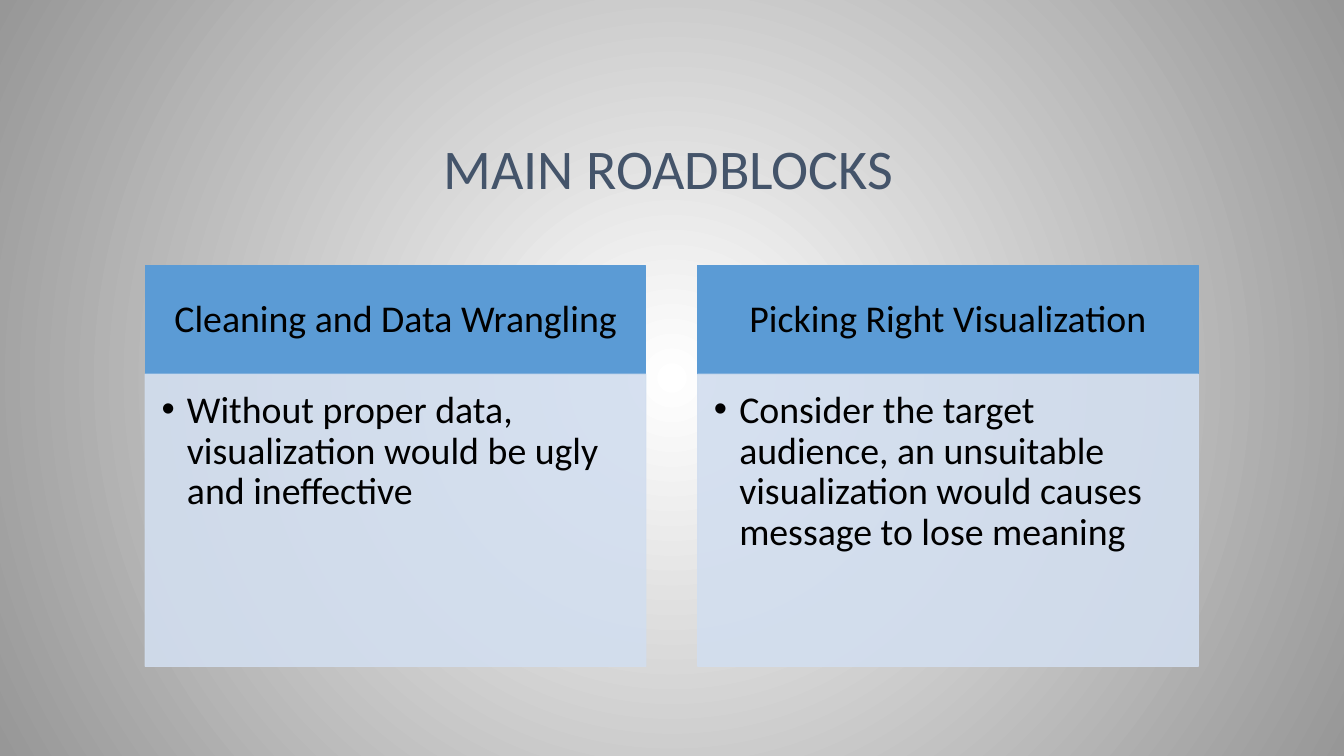
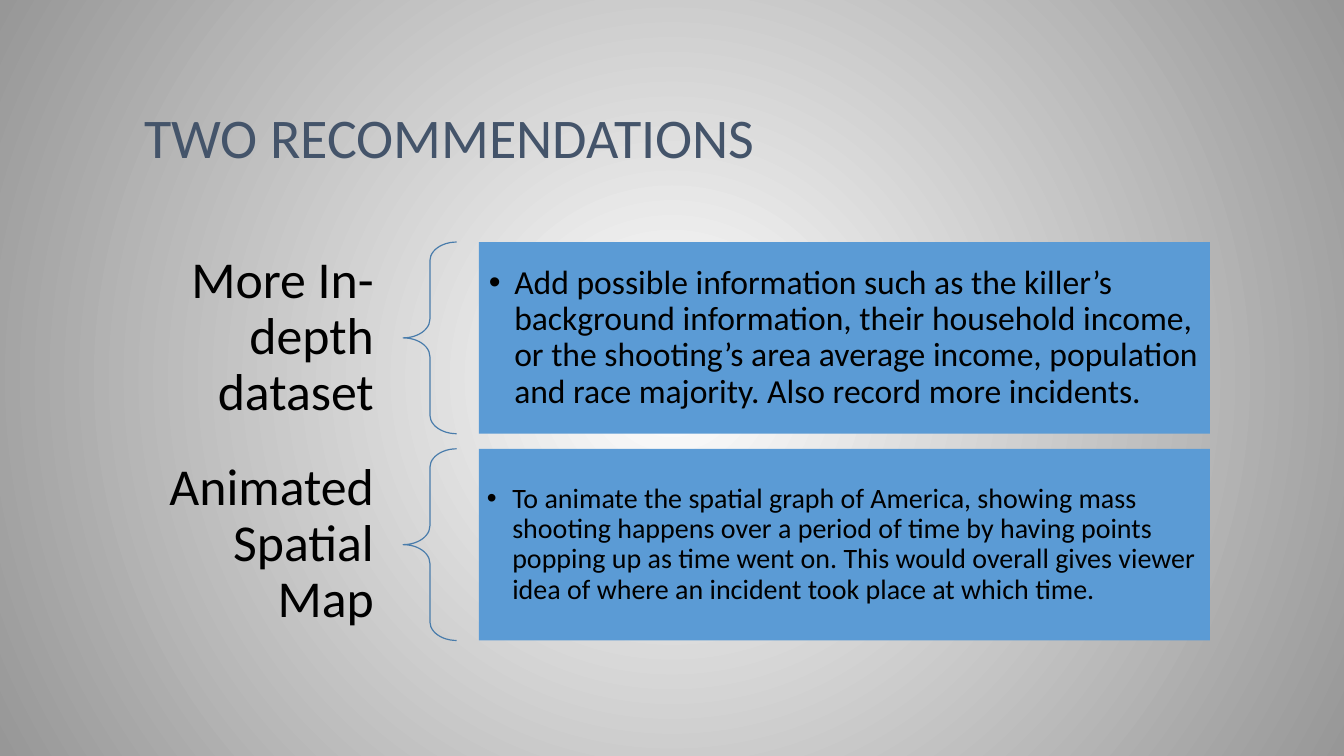
from dataclasses import dataclass

from pptx import Presentation
from pptx.dml.color import RGBColor
from pptx.enum.shapes import MSO_SHAPE
from pptx.enum.text import MSO_ANCHOR, MSO_AUTO_SIZE, PP_ALIGN
from pptx.oxml import parse_xml
from pptx.oxml.ns import nsdecls
from pptx.util import Cm, Pt

# Content: (heading, point, point size)
ROADBLOCKS = [
    ("Cleaning and Data Wrangling",
     "Without proper data, visualization would be ugly and ineffective"),
    ("Picking Right Visualization",
     "Consider the target audience, an unsuitable visualization would causes "
     "message to lose meaning"),
]
RECOMMENDATIONS = [
    ("More In-depth dataset",
     "Add possible information such as the killer’s background information, "
     "their household income, or the shooting’s area average income, population "
     "and race majority. Also record more incidents.", 24, 0.25),
    ("Animated Spatial Map",
     "To animate the spatial graph of America, showing mass shooting happens over "
     "a period of time by having points popping up as time went on. This would "
     "overall gives viewer idea of where an incident took place at which time.", 20, 0.2),
]


@dataclass(frozen=True)
class Theme:
    font: str = "Calibri"
    title: RGBColor = RGBColor(0x44, 0x54, 0x6A)
    text: RGBColor = RGBColor(0, 0, 0)
    blue: RGBColor = RGBColor(0x5B, 0x9B, 0xD5)
    pale: RGBColor = RGBColor(0xD2, 0xDE, 0xEF)
    brace: RGBColor = RGBColor(0x49, 0x7C, 0xAB)
    centre: RGBColor = RGBColor(0xFF, 0xFF, 0xFF)
    edge: RGBColor = RGBColor(0x97, 0x97, 0x97)
    title_size: int = 40
    column_size: int = 27
    label_size: int = 37


THEME = Theme()
COMPARISON_LAYOUT = 4
PAIRS = [(1, 2), (3, 4)]  # heading and list placeholders of the layout


def set_background(master):
    """Radial gradient shared by all slides."""
    fill = master.background.fill
    fill.gradient()
    for stop, color, position in zip(fill.gradient_stops, (THEME.centre, THEME.edge), (0, 1)):
        stop.color.rgb = color
        stop.position = position
    linear = master.element.xpath("./p:cSld/p:bg//a:gradFill/a:lin")[0]
    linear.getparent().replace(linear, parse_xml(
        f'<a:path {nsdecls("a")} path="circle">'
        '<a:fillToRect l="50000" t="50000" r="50000" b="50000"/></a:path>'))


def place(shape, left, top, width, height):
    shape.left, shape.top, shape.width, shape.height = map(Cm, (left, top, width, height))


def write(shape, text, size, color=THEME.text, align=PP_ALIGN.LEFT,
          anchor=MSO_ANCHOR.MIDDLE, insets=(0.25, 0.13, 0.25, 0.13), bullet=False):
    """Fill a placeholder with one formatted paragraph."""
    frame = shape.text_frame
    frame.text = text
    frame.word_wrap = True
    frame.auto_size = MSO_AUTO_SIZE.NONE
    frame.vertical_anchor = anchor
    (frame.margin_left, frame.margin_top,
     frame.margin_right, frame.margin_bottom) = map(Cm, insets)
    paragraph = frame.paragraphs[0]
    paragraph.alignment = align
    paragraph.line_spacing = 0.9
    paragraph.space_before = Pt(0)
    if bullet:
        properties = paragraph._p.get_or_add_pPr()
        properties.set("marL", str(Cm(0.64)))
        properties.set("indent", str(Cm(-0.64)))
        properties.append(parse_xml(f'<a:buChar {nsdecls("a")} char="•"/>'))
    font = paragraph.runs[0].font
    font.name, font.size, font.bold = THEME.font, Pt(size), False
    font.color.rgb = color


def paint(shape, color, opacity=None, outlined=True):
    shape.fill.solid()
    shape.fill.fore_color.rgb = color
    if outlined:
        shape.line.color.rgb = color
        shape.line.width = Pt(0.75)
    if opacity:
        for element in shape._element.spPr.xpath(".//a:srgbClr"):
            element.append(parse_xml(f'<a:alpha {nsdecls("a")} val="{opacity * 1000}"/>'))


def add_slide(presentation, title, left, top, width):
    slide = presentation.slides.add_slide(presentation.slide_layouts[COMPARISON_LAYOUT])
    place(slide.shapes.title, left, top, width, 3.68)
    write(slide.shapes.title, title, THEME.title_size, THEME.title, anchor=MSO_ANCHOR.BOTTOM)
    return slide


def add_roadblocks(presentation):
    slide = add_slide(presentation, "MAIN ROADBLOCKS", 10.92, 1.52, 20.3)
    left, top, width, gap = 3.66, 6.7, 12.62, 1.3
    heading_height, list_height = 2.73, 7.36
    for column, ((heading_id, list_id), (heading, point)) in enumerate(zip(PAIRS, ROADBLOCKS)):
        x = left + column * (width + gap)
        header, body = slide.placeholders[heading_id], slide.placeholders[list_id]
        place(header, x, top, width, heading_height)
        paint(header, THEME.blue)
        write(header, heading, THEME.column_size, align=PP_ALIGN.CENTER,
              insets=(0.53, 0.3, 0.53, 0.3))
        place(body, x, top + heading_height, width, list_height)
        paint(body, THEME.pale, opacity=90)
        write(body, point, THEME.column_size, anchor=MSO_ANCHOR.TOP,
              insets=(0.41, 0.41, 0.53, 0.61), bullet=True)


def add_recommendations(presentation):
    slide = add_slide(presentation, "TWO RECOMMENDATIONS", 3.38, 0.76, 27.1)
    top, height, gap = 6.1, 4.83, 0.38
    for row, ((label_id, list_id), (heading, point, size, inset)) in enumerate(
            zip(PAIRS, RECOMMENDATIONS)):
        y = top + row * (height + gap)
        label, body = slide.placeholders[label_id], slide.placeholders[list_id]
        place(label, 3.4, y, 6.76, height)
        write(label, heading, THEME.label_size, align=PP_ALIGN.RIGHT,
              insets=(0.74, 0.25, 0.74, 0.25))
        place(body, 12.07, y, 18.42, height)
        paint(body, THEME.blue, outlined=False)
        write(body, point, size, insets=(inset,) * 4, bullet=True)
        # Brace between label and text
        brace = slide.shapes.add_shape(MSO_SHAPE.LEFT_BRACE, Cm(10.16), Cm(y), Cm(1.35), Cm(height))
        brace.adjustments[0], brace.adjustments[1] = 0.35, 0.5
        brace.shadow.inherit = False
        brace.fill.background()
        brace.line.color.rgb = THEME.brace
        brace.line.width = Pt(0.85)


def main():
    presentation = Presentation()
    presentation.slide_width, presentation.slide_height = Cm(33.87), Cm(19.05)
    set_background(presentation.slide_master)
    add_roadblocks(presentation)
    add_recommendations(presentation)
    presentation.save("out.pptx")


if __name__ == "__main__":
    main()
